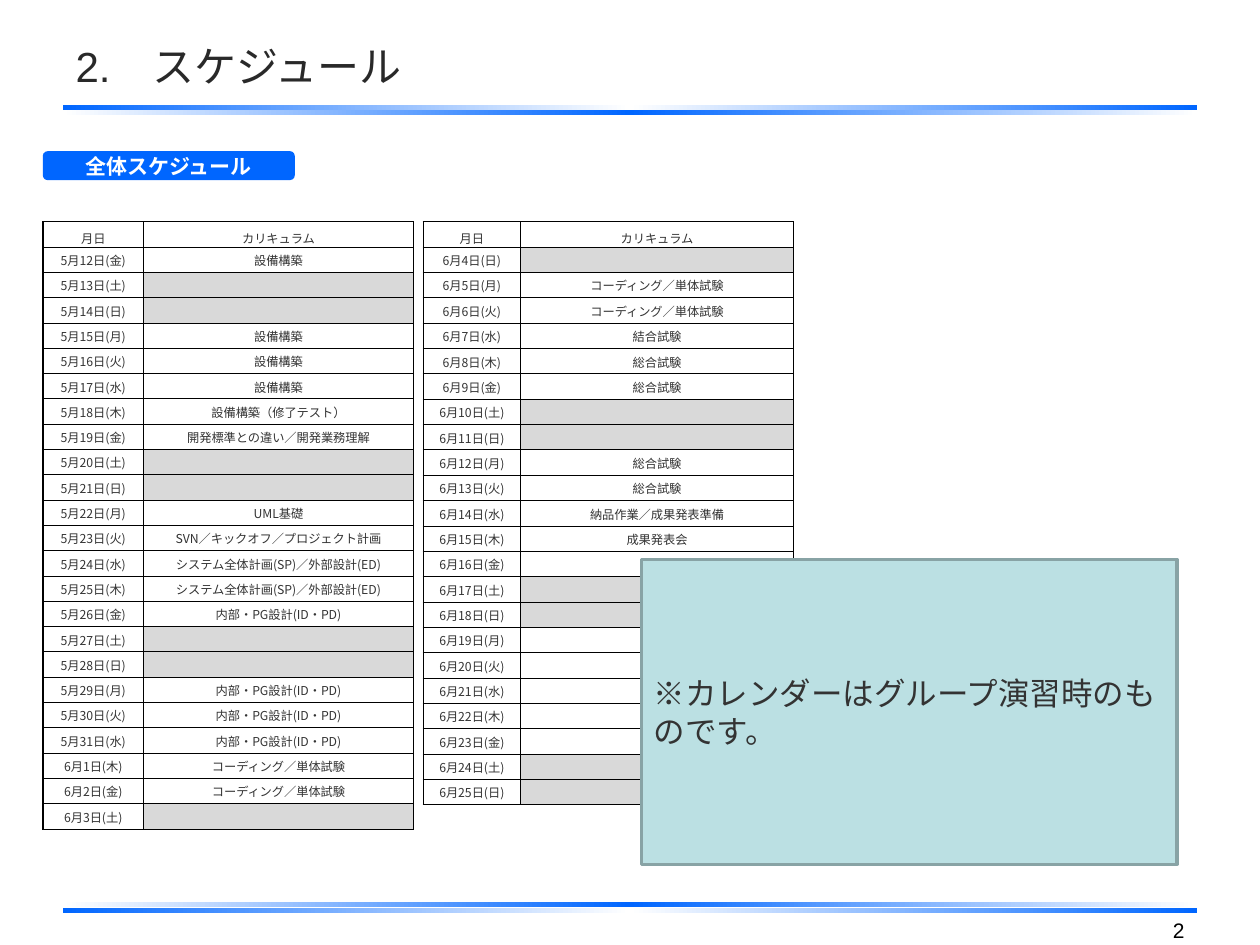
from copy import deepcopy
from itertools import count
from lxml.etree import SubElement
from pptx import Presentation
from pptx.dml.color import RGBColor
from pptx.enum.shapes import MSO_SHAPE
from pptx.enum.text import MSO_ANCHOR, PP_ALIGN
from pptx.oxml.ns import qn
from pptx.util import Inches, Pt


def color(value):
    return RGBColor.from_string(value)


def write(holder, text, size, font, text_color, align=PP_ALIGN.LEFT, bold=False):
    paragraph = holder.text_frame.paragraphs[0]
    paragraph.alignment = align
    paragraph.font.size = Pt(size)
    paragraph.font.name = font
    paragraph.font.bold = bold
    paragraph.font.color.rgb = color(text_color)
    if text:
        paragraph.add_run().text = text
    else:
        SubElement(paragraph._p, qn("a:endParaRPr"), sz=str(size * 100))


presentation = Presentation()
presentation.slide_width = Inches(10)
presentation.slide_height = Inches(7.5)
slide = presentation.slides.add_slide(presentation.slide_layouts[5])

BLUE, WHITE, GRAY, BLACK, TEXT = "0066FF", "FFFFFF", "D9D9D9", "000000", "333333"

for top, outer, middle in [
    (0.87, WHITE, BLUE),
    (0.83, BLUE, WHITE),
    (7.21, BLUE, WHITE),
    (7.16, WHITE, BLUE),
]:
    bar = slide.shapes.add_shape(
        MSO_SHAPE.RECTANGLE, Inches(0.5), Inches(top), Inches(9), Inches(0.04))
    bar.shadow.inherit = False
    bar.line.fill.background()
    bar.fill.gradient()
    bar.fill.gradient_angle = 0
    stop_list = bar._element.spPr.find(".//" + qn("a:gsLst"))
    stop_list.insert(1, deepcopy(stop_list[0]))
    for stop, position, stop_color in zip(
            bar.fill.gradient_stops, (0, 0.5, 1), (outer, middle, outer)):
        stop.position = position
        stop.color.rgb = color(stop_color)

title = slide.shapes.title
title.left, title.top = Inches(0.5), Inches(0.17)
title.width, title.height = Inches(9), Inches(0.7)
title.text_frame.vertical_anchor = MSO_ANCHOR.MIDDLE
write(title, "2.　スケジュール", 24, "Arial", "292929")

badge = slide.shapes.add_shape(
    MSO_SHAPE.ROUNDED_RECTANGLE, Inches(0.34), Inches(1.2), Inches(2), Inches(0.23))
badge.shadow.inherit = False
badge.fill.solid()
badge.fill.fore_color.rgb = color(BLUE)
badge.line.fill.background()
badge.text_frame.vertical_anchor = MSO_ANCHOR.MIDDLE
write(badge, "全体スケジュール", 12, "Calibri", WHITE, PP_ALIGN.CENTER, True)

page_number = slide.shapes.add_textbox(
    Inches(7.17), Inches(7.23), Inches(2.33), Inches(0.27))
page_number.text_frame.word_wrap = True
write(page_number, "2", 12, "Arial", BLACK, PP_ALIGN.RIGHT)

lessons = iter(
    ["設備構築"] * 4
    + ["設備構築（修了テスト）", "開発標準との違い／開発業務理解",
       "UML基礎", "SVN／キックオフ／プロジェクト計画"]
    + ["システム全体計画(SP)／外部設計(ED)"] * 2
    + ["内部・PG設計(ID・PD)"] * 4
    + ["コーディング／単体試験"] * 4
    + ["結合試験"]
    + ["総合試験"] * 4
    + ["納品作業／成果発表準備", "成果発表会"])
WEEKDAYS = "金土日月火水木"
MAY_DAYS = 31
days = count(12)

for left, height, day_count, date_width, lesson_width in [
    (0.34, 4.82, 23, 0.8, 2.14),
    (3.36, 4.63, 22, 0.77, 2.17),
]:
    rows = [("月日", "カリキュラム", WHITE)]
    for _ in range(day_count):
        day = next(days)
        weekday = WEEKDAYS[(day - 12) % 7]
        month, date = (5, day) if day <= MAY_DAYS else (6, day - MAY_DAYS)
        weekend = weekday in "土日"
        lesson = "" if weekend else next(lessons, "")
        rows.append((f"{month}月{date}日({weekday})", lesson, GRAY if weekend else WHITE))

    table = slide.shapes.add_table(
        len(rows), 2, Inches(left), Inches(1.76),
        Inches(date_width + lesson_width), Inches(height)).table
    table.first_row = False
    table.horz_banding = False
    table.columns[0].width = Inches(date_width)
    table.columns[1].width = Inches(lesson_width)
    for row_index, (date_text, lesson, lesson_fill) in enumerate(rows):
        table.rows[row_index].height = Inches(height / len(rows))
        for column, (text, fill) in enumerate([(date_text, WHITE), (lesson, lesson_fill)]):
            cell = table.cell(row_index, column)
            cell.margin_left = cell.margin_right = cell.margin_top = Inches(0.01)
            cell.margin_bottom = 0
            cell.vertical_anchor = MSO_ANCHOR.MIDDLE if row_index else MSO_ANCHOR.BOTTOM
            write(cell, text, 7, "Noto Sans CJK JP", TEXT, PP_ALIGN.CENTER)
            properties = cell._tc.get_or_add_tcPr()
            outer_side = "a:lnR" if column else "a:lnL"
            for side in ("a:lnL", "a:lnR", "a:lnT", "a:lnB"):
                width = Pt(1) if side == outer_side else Pt(0.5)
                border = SubElement(properties, qn(side), w=str(width))
                border_fill = SubElement(border, qn("a:solidFill"))
                SubElement(border_fill, qn("a:srgbClr"), val=BLACK)
            cell.fill.solid()
            cell.fill.fore_color.rgb = color(fill)

note = slide.shapes.add_shape(
    MSO_SHAPE.RECTANGLE, Inches(5.09), Inches(4.44), Inches(4.25), Inches(2.42))
note.shadow.inherit = False
note.fill.solid()
note.fill.fore_color.rgb = color("BBE0E3")
note.line.color.rgb = color("88A3A5")
note.line.width = Pt(2)
note.text_frame.word_wrap = True
note.text_frame.vertical_anchor = MSO_ANCHOR.MIDDLE
write(note, "※カレンダーはグループ演習時のものです。", 18, "Arial", TEXT)

presentation.save("out.pptx")
